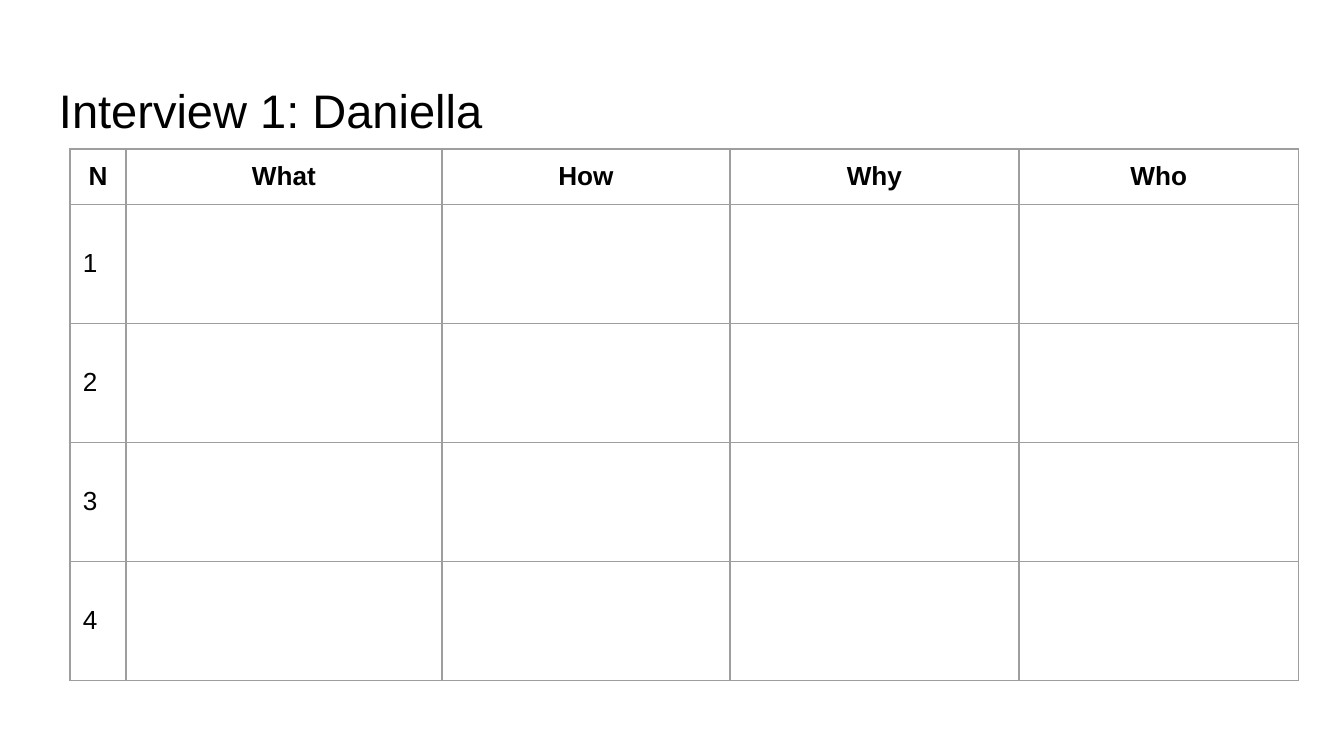
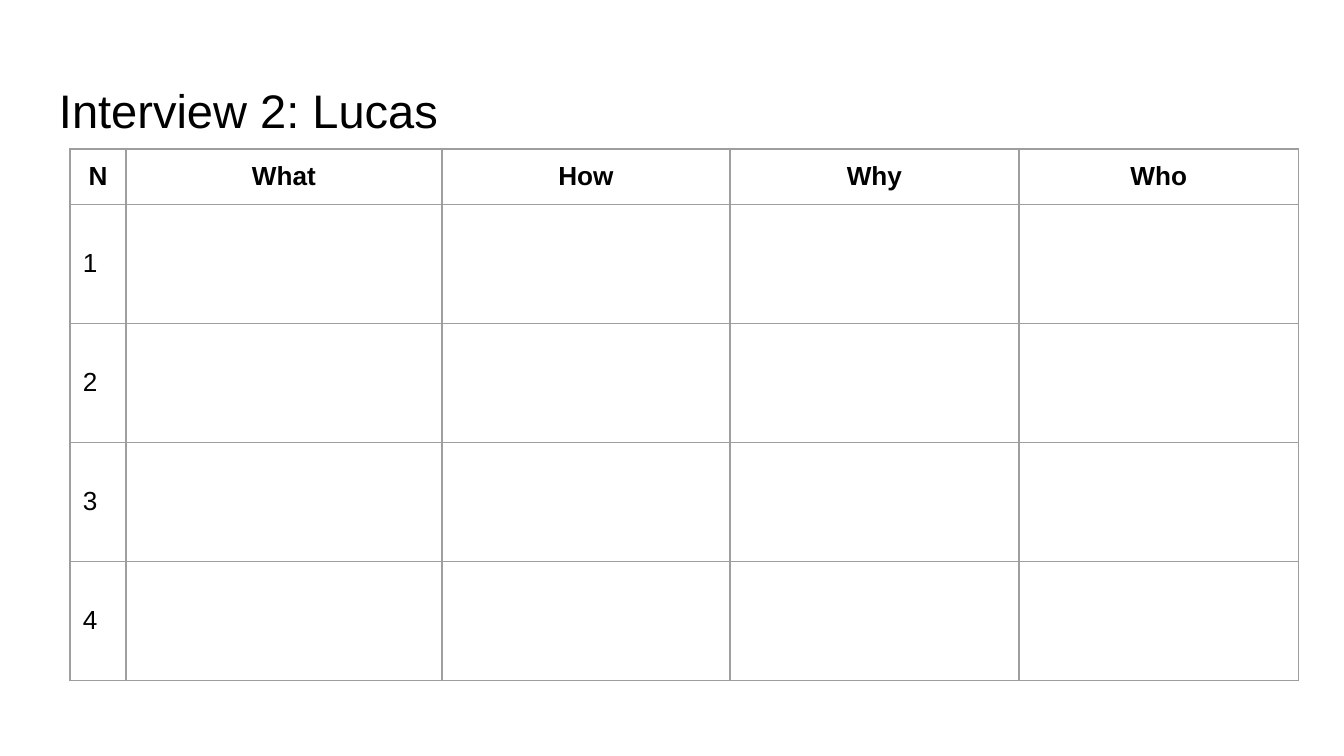
from pptx import Presentation
from pptx.dml.color import RGBColor
from pptx.enum.text import MSO_ANCHOR, MSO_AUTO_SIZE, PP_ALIGN
from pptx.oxml.ns import qn
from pptx.util import Pt
from lxml import etree

LEFT, CENTER = PP_ALIGN.LEFT, PP_ALIGN.CENTER
TOP, MIDDLE, BOTTOM = MSO_ANCHOR.TOP, MSO_ANCHOR.MIDDLE, MSO_ANCHOR.BOTTOM
NO_FIT = MSO_AUTO_SIZE.NONE

EMU_PER_PX = 914400 / 134.4
BLACK = RGBColor(0x00, 0x00, 0x00)
GRID = RGBColor(0x9E, 0x9E, 0x9E)
FONT = "Arial"
TITLE_ONLY = 5

TITLE_BOX = (46, 66, 1252, 85)
TABLE_BOX = (70, 149, 1229, 528)
COLUMNS = {"N": 56, "What": 316, "How": 288, "Why": 289, "Who": 280}
HEADER_HEIGHT = 52
QUESTIONS = 4
INTERVIEWS = ["Daniella", "Lucas"]


def px(n):
    return round(n * EMU_PER_PX)


INSETS = {f"margin_{side}": px(13) for side in ("left", "top", "right", "bottom")}


def apply(target, values):
    for name, value in values.items():
        setattr(target, name, value)


def write(tf, text, size, bold=False, align=LEFT):
    p = tf.paragraphs[0]
    p.alignment = align
    r = p.add_run()
    r.text = text
    apply(r.font, {"name": FONT, "size": Pt(size), "bold": bold})
    r.font.color.rgb = BLACK


def add_title(s, box, text):
    sp = s.shapes.title
    apply(sp, dict(zip(("left", "top", "width", "height"), map(px, box))))
    tf = sp.text_frame
    apply(tf, {**INSETS, "word_wrap": True, "auto_size": NO_FIT,
               "vertical_anchor": BOTTOM})
    write(tf, text, 25.2)


def set_borders(cell):
    tc_pr = cell._tc.get_or_add_tcPr()
    for i, side in enumerate(("lnL", "lnR", "lnT", "lnB")):
        ln = etree.Element(qn(f"a:{side}"), w=str(Pt(0.75)))
        fill = etree.SubElement(ln, qn("a:solidFill"))
        etree.SubElement(fill, qn("a:srgbClr"), val=str(GRID))
        tc_pr.insert(i, ln)


def add_question_table(s, box):
    x, y, w, h = box
    table = s.shapes.add_table(QUESTIONS + 1, len(COLUMNS),
                               px(x), px(y), px(w), px(h)).table
    apply(table, {"first_row": False, "horz_banding": False})
    for column, width in zip(table.columns, COLUMNS.values()):
        column.width = px(width)
    for i, row in enumerate(table.rows):
        row.height = px((h - HEADER_HEIGHT) / QUESTIONS if i else HEADER_HEIGHT)
        for cell in row.cells:
            apply(cell, {**INSETS, "vertical_anchor": MIDDLE if i else TOP})
            cell.fill.background()
            set_borders(cell)
    for j, heading in enumerate(COLUMNS):
        write(table.cell(0, j).text_frame, heading, 14, True, CENTER)
    for i in range(1, QUESTIONS + 1):
        write(table.cell(i, 0).text_frame, str(i), 14)


def add_interview_slide(prs, number, name):
    s = prs.slides.add_slide(prs.slide_layouts[TITLE_ONLY])
    add_title(s, TITLE_BOX, f"Interview {number}: {name}")
    add_question_table(s, TABLE_BOX)


def main():
    prs = Presentation()
    apply(prs, {"slide_width": px(1344), "slide_height": px(756)})
    for number, name in enumerate(INTERVIEWS, 1):
        add_interview_slide(prs, number, name)
    prs.save("out.pptx")


if __name__ == "__main__":
    main()
